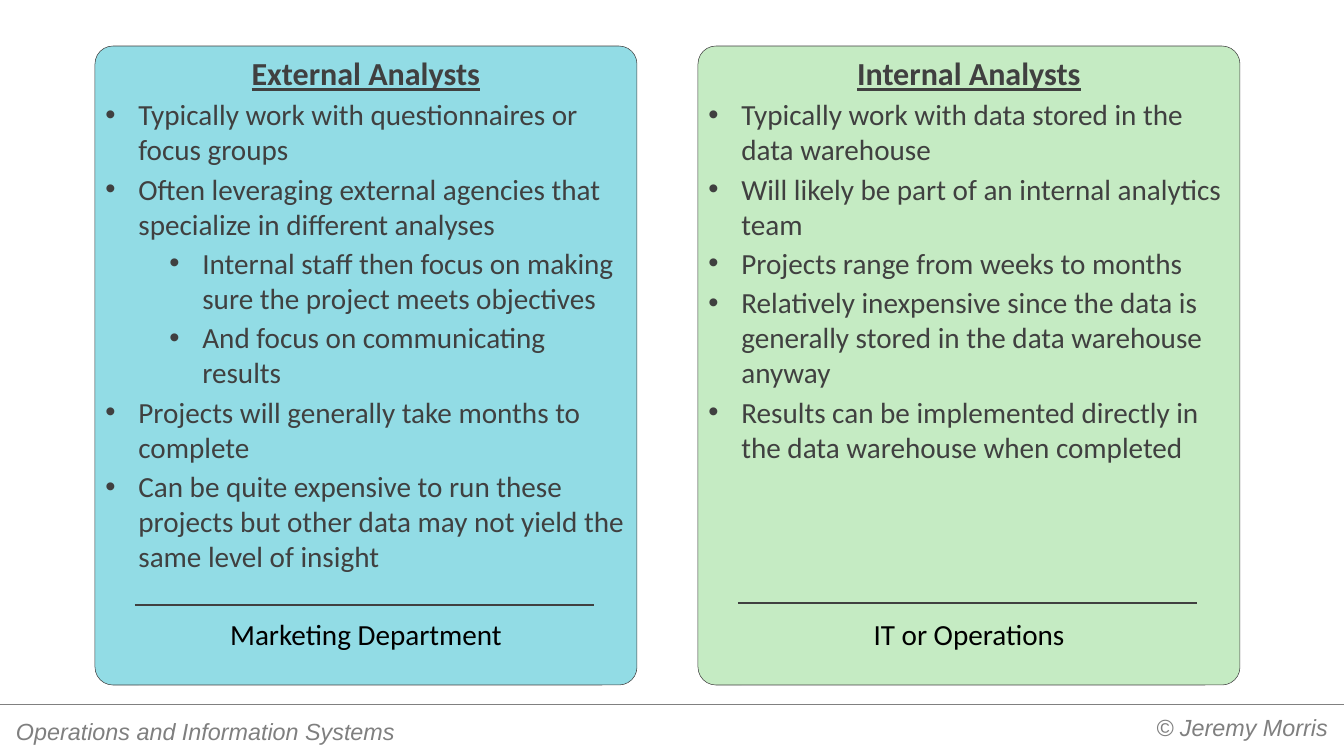
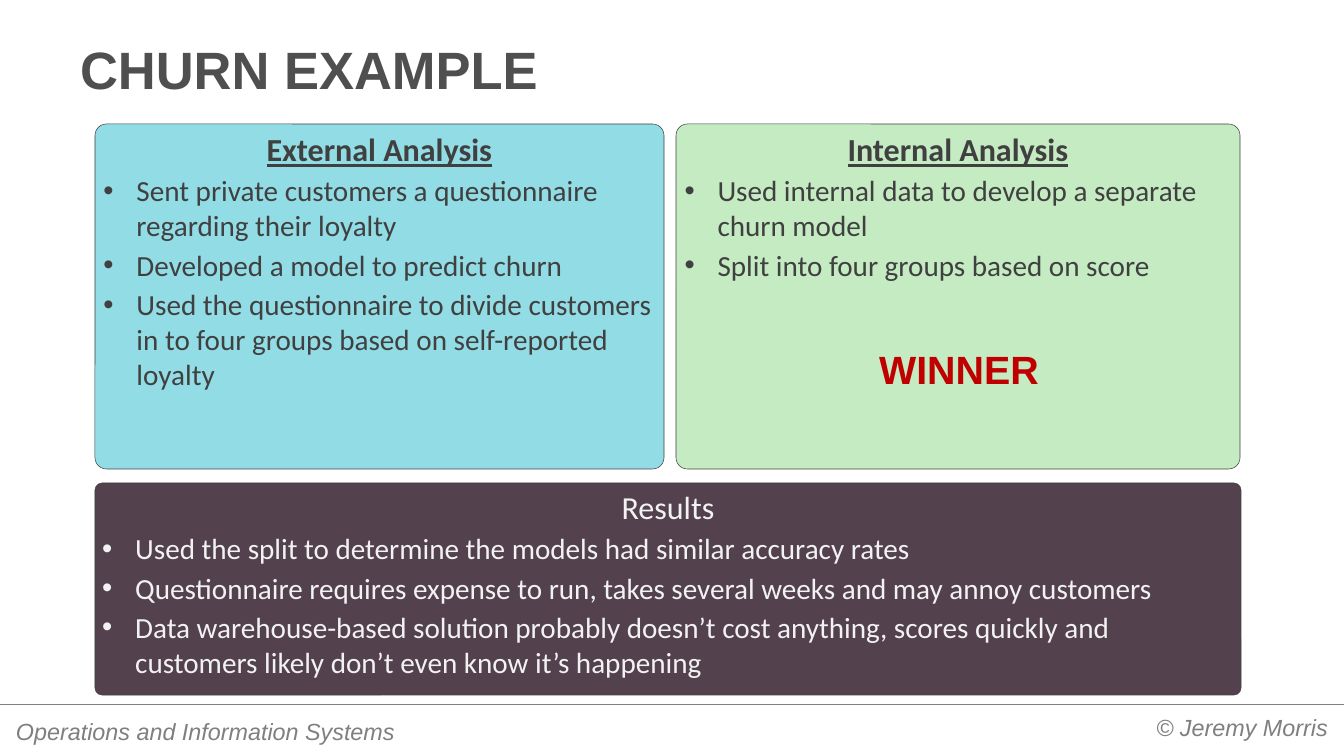
"""Builds two slides comparing external and internal analysts."""
from dataclasses import dataclass

from lxml.etree import SubElement
from pptx import Presentation
from pptx.dml.color import RGBColor
from pptx.enum.shapes import MSO_CONNECTOR, MSO_SHAPE
from pptx.enum.text import MSO_ANCHOR, PP_ALIGN
from pptx.oxml.ns import qn
from pptx.util import Pt

PX = 914400 / 52.5
SLIDE_W, SLIDE_H = 1344, 756
FOOTER_LINE_Y = 704
BULLET_HANG, SUB_BULLET_LEFT = 33, 97
RULE_INSET, RULE_LENGTH = 40, 459
DEPARTMENT_Y, DEPARTMENT_H = 614, 40


@dataclass(frozen=True)
class Theme:
    """Colours, fonts and formats that the slides share."""

    external: str = "92DCE5"
    internal: str = "C5EBC3"
    results: str = "54414E"
    ink: str = "404040"
    light: str = "F2F2F2"
    footer_line: str = "808080"
    hairline: float = 0.75
    rule: float = 3
    gap: int = 6
    corner: float = 0.033

    def text(self, role):
        return {
            "title": dict(name="Arial", size=72, color="4F4F4F", bold=True),
            "footer": dict(name="Arial", size=32, color="7F7F7F", italic=True),
            "heading": dict(name="Calibri", size=44, bold=True, underline=True),
            "plain heading": dict(name="Calibri", size=44),
            "bullet": dict(name="Calibri", size=40),
            "department": dict(name="Calibri", size=40, color="000000"),
            "verdict": dict(name="Arial", size=54, color="C00000", bold=True),
        }[role]


THEME = Theme()

FOOTERS = [
    ("© Jeremy Morris", (765, 708, 572, 66), PP_ALIGN.RIGHT),
    ("Operations and Information Systems", (7, 712, 459, 38), PP_ALIGN.LEFT),
]

ANALYST_CARDS = [
    dict(
        box=(95, 46, 542, 639), fill=THEME.external, spacing="space_after",
        heading="External Analysts", department="Marketing Department", rule_y=605,
        bullets=[
            (0, "Typically work with questionnaires or focus groups"),
            (0, "Often leveraging external agencies that specialize in different analyses"),
            (1, "Internal staff then focus on making sure the project meets objectives"),
            (1, "And focus on communicating results"),
            (0, "Projects will generally take months to complete"),
            (0, "Can be quite expensive to run these projects but other data may not "
                "yield the same level of insight"),
        ],
    ),
    dict(
        box=(698, 46, 542, 639), fill=THEME.internal,
        heading="Internal Analysts", department="IT or Operations", rule_y=603,
        bullets=[
            (0, "Typically work with data stored in the data warehouse"),
            (0, "Will likely be part of an internal analytics team"),
            (0, "Projects range from weeks to months"),
            (0, "Relatively inexpensive since the data is generally stored in the data "
                "warehouse anyway"),
            (0, "Results can be implemented directly in the data warehouse when completed"),
        ],
    ),
]

CHURN_TITLE = ("CHURN EXAMPLE", (67, 28, 1210, 78))
CHURN_VERDICT = ("WINNER", (747, 343, 424, 53))
CHURN_CARDS = [
    dict(
        box=(95, 124, 569, 345), fill=THEME.external, spacing="space_after",
        heading="External Analysis",
        bullets=[
            (0, "Sent private customers a questionnaire regarding their loyalty"),
            (0, "Developed a model to predict churn"),
            (0, "Used the questionnaire to divide customers in to four groups based on "
                "self-reported loyalty"),
        ],
    ),
    dict(
        box=(676, 124, 564, 345), fill=THEME.internal,
        heading="Internal Analysis",
        bullets=[
            (0, "Used internal data to develop a separate churn model"),
            (0, "Split into four groups based on score"),
        ],
    ),
    dict(
        box=(95, 483, 1146, 212), fill=THEME.results, ink=THEME.light,
        heading="Results", heading_role="plain heading",
        bullets=[
            (0, "Used the split to determine the models had similar accuracy rates"),
            (0, "Questionnaire requires expense to run, takes several weeks and may annoy "
                "customers"),
            (0, "Data warehouse-based solution probably doesn’t cost anything, scores "
                "quickly and customers likely don’t even know it’s happening"),
        ],
    ),
]


def px(*lengths):
    return [round(length * PX) for length in lengths]


def apply(target, **formats):
    for attribute, value in formats.items():
        setattr(target, attribute, value)


def write(paragraph, words, role, align=PP_ALIGN.LEFT, **changes):
    formats = {**THEME.text(role), **changes}
    color, size = formats.pop("color"), formats.pop("size")
    paragraph.alignment = align
    run = paragraph.add_run()
    run.text = words
    apply(run.font, size=Pt(size), **formats)
    run.font.color.rgb = RGBColor.from_string(color)


def add_label(slide, words, box, role, align=PP_ALIGN.LEFT, insets=None,
              anchor=MSO_ANCHOR.TOP):
    frame = slide.shapes.add_textbox(*px(*box)).text_frame
    apply(frame, word_wrap=True, vertical_anchor=anchor)
    if insets:
        across, down = px(*insets)
        apply(frame, margin_left=across, margin_right=across,
              margin_top=down, margin_bottom=down)
    write(frame.paragraphs[0], words, role, align)


def add_rule(slide, left, y, length, color, weight):
    rule = slide.shapes.add_connector(
        MSO_CONNECTOR.STRAIGHT, *px(left, y, left + length, y))
    rule.line.color.rgb = RGBColor.from_string(color)
    rule.line.width = Pt(weight)
    SubElement(rule._element.spPr, qn("a:effectLst"))


def add_bullet(paragraph, level):
    paragraph.level = level
    left, hang = px(SUB_BULLET_LEFT if level else BULLET_HANG, BULLET_HANG)
    properties = paragraph._p.get_or_add_pPr()
    properties.set("marL", str(left))
    properties.set("indent", str(-hang))
    SubElement(properties, qn("a:buFont"), typeface="Arial")
    SubElement(properties, qn("a:buChar"), char="•")


def add_card(slide, box, fill, heading, bullets, spacing="space_before",
             ink=THEME.ink, heading_role="heading", department=None, rule_y=None):
    card = slide.shapes.add_shape(MSO_SHAPE.ROUNDED_RECTANGLE, *px(*box))
    card.adjustments[0] = THEME.corner
    card.shadow.inherit = False
    card.fill.solid()
    card.fill.fore_color.rgb = RGBColor.from_string(fill)
    card.line.color.rgb = RGBColor.from_string(THEME.ink)
    card.line.width = Pt(THEME.hairline)
    frame = card.text_frame
    apply(frame, word_wrap=True, vertical_anchor=MSO_ANCHOR.TOP)
    write(frame.paragraphs[0], heading, heading_role, PP_ALIGN.CENTER, color=ink)
    apply(frame.paragraphs[0], **{spacing: Pt(THEME.gap)})
    for level, words in bullets:
        paragraph = frame.add_paragraph()
        write(paragraph, words, "bullet", color=ink)
        apply(paragraph, **{spacing: Pt(THEME.gap)})
        add_bullet(paragraph, level)
    if department:
        left, _, width, _ = box
        add_label(slide, department, (left, DEPARTMENT_Y, width, DEPARTMENT_H),
                  "department", PP_ALIGN.CENTER)
        add_rule(slide, left + RULE_INSET, rule_y, RULE_LENGTH, THEME.ink, THEME.rule)


def add_slide(deck, cards):
    slide = deck.slides.add_slide(deck.slide_layouts[6])
    add_rule(slide, 0, FOOTER_LINE_Y, SLIDE_W, THEME.footer_line, THEME.hairline)
    for words, box, align in FOOTERS:
        add_label(slide, words, box, "footer", align, insets=(9, 5))
    for card in cards:
        add_card(slide, **card)
    return slide


def main():
    deck = Presentation()
    deck.slide_width, deck.slide_height = px(SLIDE_W, SLIDE_H)
    add_slide(deck, ANALYST_CARDS)
    churn = add_slide(deck, CHURN_CARDS)
    add_label(churn, *CHURN_TITLE, "title", insets=(13, 6), anchor=MSO_ANCHOR.BOTTOM)
    add_label(churn, *CHURN_VERDICT, "verdict", PP_ALIGN.CENTER)
    deck.save("out.pptx")


if __name__ == "__main__":
    main()
